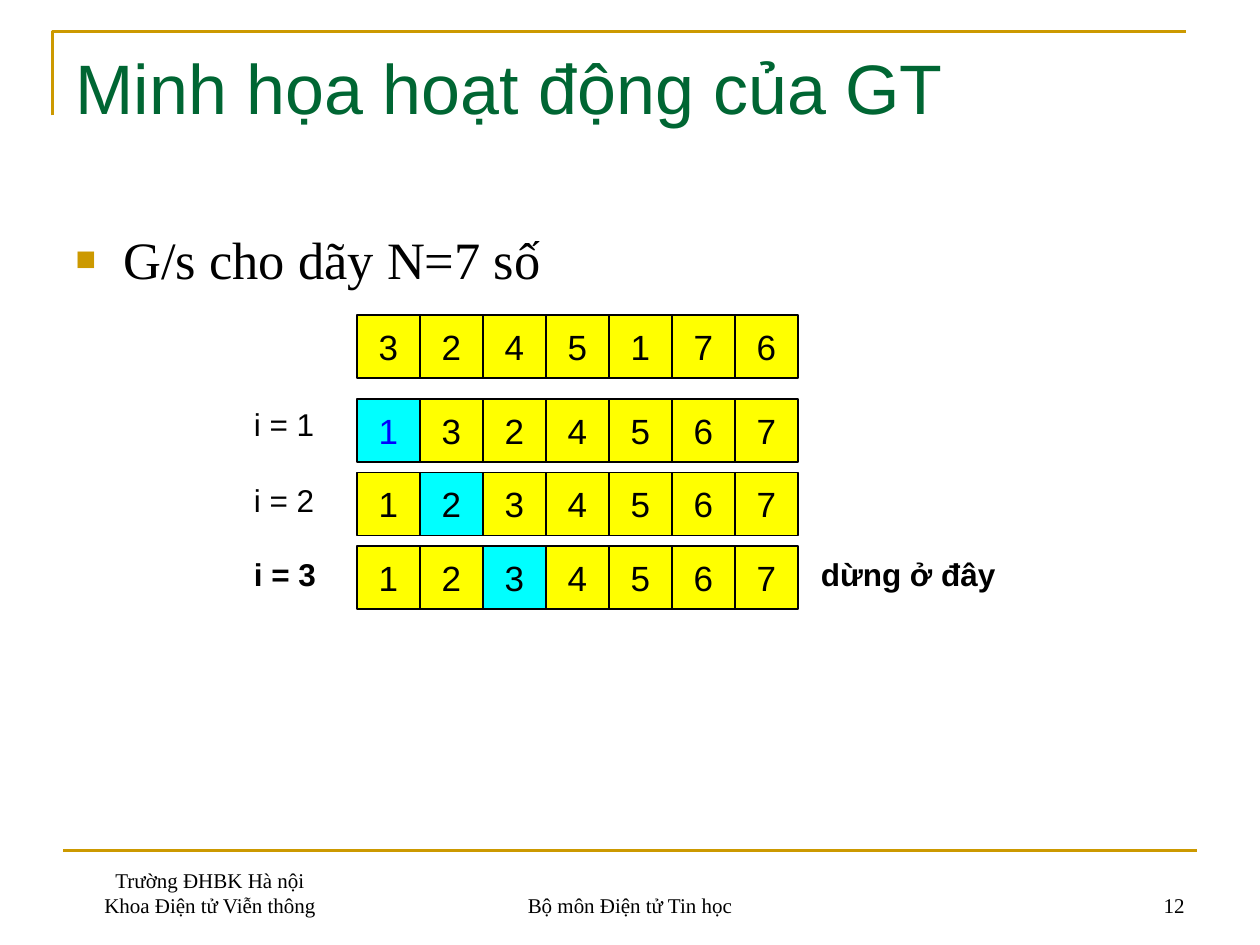
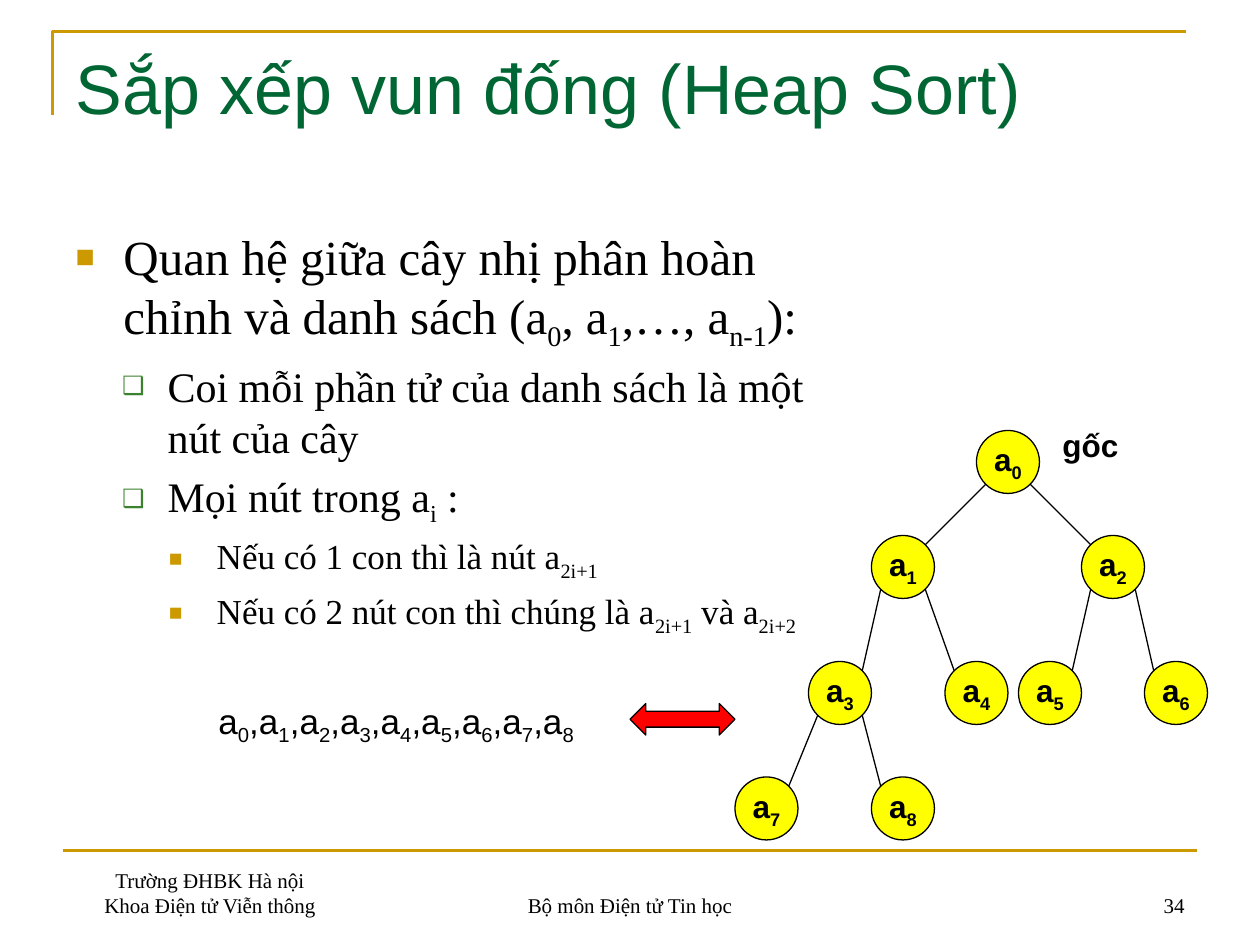
from math import sqrt

from lxml import etree
from pptx import Presentation
from pptx.dml.color import RGBColor
from pptx.enum.shapes import MSO_CONNECTOR, MSO_SHAPE
from pptx.enum.text import MSO_ANCHOR, MSO_AUTO_SIZE, PP_ALIGN
from pptx.oxml.ns import qn
from pptx.util import Inches, Pt

RECTANGLE, OVAL = MSO_SHAPE.RECTANGLE, MSO_SHAPE.OVAL
DOUBLE_ARROW = MSO_SHAPE.LEFT_RIGHT_ARROW
STRAIGHT = MSO_CONNECTOR.STRAIGHT
TOP, MIDDLE, BOTTOM = MSO_ANCHOR.TOP, MSO_ANCHOR.MIDDLE, MSO_ANCHOR.BOTTOM
LEFT, CENTER, RIGHT = PP_ALIGN.LEFT, PP_ALIGN.CENTER, PP_ALIGN.RIGHT
FIXED = MSO_AUTO_SIZE.NONE

SANS, SERIF = "Arial", "Times New Roman"
BLACK, GOLD, GREEN, LEAF = "000000", "CC9900", "006633", "3B812F"
YELLOW, CYAN, BLUE, RED = "FFFF00", "00FFFF", "0000FF", "FF0000"
color = RGBColor.from_string

# The slide is a grid of 120 columns and 90 rows
deck = Presentation()
deck.slide_width, deck.slide_height = Inches(10), Inches(7.5)
UNIT = deck.slide_width // 120


def write(para, text, size, font=SANS, ink=BLACK, bold=False, align=LEFT):
    """Fill a paragraph; every second part between bars is a subscript."""
    para.alignment = align
    para.font.size, para.font.name, para.font.bold = Pt(size), font, bold
    para.font.color.rgb = color(ink)
    for index, part in enumerate(text.split("|")):
        if part:
            span = para.add_run()
            span.text = part
            if index % 2:
                span._r.get_or_add_rPr().set("baseline", "-25000")


def add_box(page, col, row, cols, rows, kind=None, fill=None, anchor=TOP, wrap=True):
    """Add a text box, or a filled preset shape, at a place on the grid."""
    place = [round(UNIT * length) for length in (col, row, cols, rows)]
    if kind is None:
        box = page.shapes.add_textbox(*place)
    else:
        box = page.shapes.add_shape(kind, *place)
        box.shadow.inherit = False
        box.fill.solid()
        box.fill.fore_color.rgb = color(fill)
        box.line.color.rgb = color(BLACK)
        box.line.width = Pt(0.75)
    box.text_frame.word_wrap = wrap
    box.text_frame.vertical_anchor = anchor
    return box


# Bullet levels: symbol, colour, size in percent, left margin, hanging indent
LEVELS = [
    ("■", GOLD, 65, 0.38, -0.38),
    ("❑", LEAF, 60, 0.73, -0.36),
    ("■", GOLD, 65, 1.12, -0.38),
]

# Title, page number, body columns and rows, list items (level, size, text)
PAGES = [
    ("Minh họa hoạt động của GT", "12", 108, 59.4, [
        (0, 30, "G/s cho dãy N=7 số"),
    ]),
    ("Sắp xếp vun đống (Heap Sort)", "34", 74, 46, [
        (0, 28, "Quan hệ giữa cây nhị phân hoàn chỉnh và danh sách "
                "(a|0|, a|1|,…, a|n-1|):"),
        (1, 24, "Coi mỗi phần tử của danh sách là một nút của cây"),
        (1, 24, "Mọi nút trong a|i| :"),
        (2, 20, "Nếu có 1 con thì là nút a|2i+1|"),
        (2, 20, "Nếu có 2 nút con thì chúng là a|2i+1| và a|2i+2|"),
    ]),
]
lines = []  # page, start, end, colour, width

for title, number, body_cols, body_rows, items in PAGES:
    page = deck.slides.add_slide(deck.slide_layouts[1])

    # Corner frame and footer rule
    corner = page.shapes.build_freeform(5 * UNIT, 11 * UNIT, scale=1.0)
    corner.add_line_segments([(5 * UNIT, 3 * UNIT), (113 * UNIT, 3 * UNIT)], close=False)
    frame = corner.convert_to_shape()
    frame.shadow.inherit = False
    frame.fill.background()
    frame.line.color.rgb = color(GOLD)
    frame.line.width = Pt(1.5)
    lines.append((page, (6, 81), (114, 81), GOLD, 1.5))

    # Footers
    for col, cols, align, texts in [
        (6, 28, CENTER, ["Trường ĐHBK Hà nội", "Khoa Điện tử Viễn thông"]),
        (41, 38, CENTER, ["Bộ môn Điện tử Tin học"]),
        (86, 28, RIGHT, [number]),
    ]:
        footer = add_box(page, col, 82, cols, 6, anchor=BOTTOM).text_frame
        for index, text in enumerate(texts):
            para = footer.add_paragraph() if index else footer.paragraphs[0]
            write(para, text, 12, SERIF, align=align)

    # Title and list
    heading, body = page.shapes.title, page.placeholders[1]
    for holder, row, cols, rows in [(heading, 3.6, 108, 15), (body, 21, body_cols, body_rows)]:
        holder.left, holder.top = 6 * UNIT, round(row * UNIT)
        holder.width, holder.height = cols * UNIT, round(rows * UNIT)
        holder.text_frame.auto_size = FIXED
        holder.text_frame.vertical_anchor = TOP
    write(heading.text_frame.paragraphs[0], title, 40, ink=GREEN)
    for index, (level, size, text) in enumerate(items):
        para = body.text_frame.add_paragraph() if index else body.text_frame.paragraphs[0]
        para.level = level
        symbol, tint, percent, margin, indent = LEVELS[level]
        props = para._p.get_or_add_pPr()
        props.set("marL", str(Inches(margin)))
        props.set("indent", str(Inches(indent)))
        bullet_color = etree.SubElement(props, qn("a:buClr"))
        etree.SubElement(bullet_color, qn("a:srgbClr"), val=tint)
        etree.SubElement(props, qn("a:buSzPct"), val=str(percent * 1000))
        etree.SubElement(props, qn("a:buFont"), typeface=SANS)
        etree.SubElement(props, qn("a:buChar"), char=symbol)
        write(para, text, size, SERIF)

sort_page, heap_page = deck.slides

# Number rows: row, digits, highlighted position, its text colour
for row, digits, marked, ink in [
    (30, "3245176", None, BLACK),
    (38, "1324567", 0, BLUE),
    (45, "1234567", 1, BLACK),
    (52, "1234567", 2, BLACK),
]:
    for index, digit in enumerate(digits):
        hit = index == marked
        cell = add_box(sort_page, 34 + 6 * index, row, 6, 6, RECTANGLE,
                       CYAN if hit else YELLOW, MIDDLE, wrap=False)
        write(cell.text_frame.paragraphs[0], digit, 20, ink=ink if hit else BLACK, align=CENTER)

# Labels beside the number rows and the root of the heap
for page, col, row, cols, text, bold in [
    (sort_page, 23, 38, 10, "i = 1", False),
    (sort_page, 23, 45.25, 10, "i = 2", False),
    (sort_page, 23, 52.25, 10, "i = 3", True),
    (sort_page, 77, 52.25, 23, "dừng ở đây", True),
    (heap_page, 100, 40, 13, "gốc", True),
]:
    label = add_box(page, col, row, cols, 4.8)
    write(label.text_frame.paragraphs[0], text, 18, bold=bold)

# Heap nodes, each joined to its parent
NODES = [(93, 41), (83, 51), (103, 51), (77, 63), (90, 63), (97, 63), (109, 63),
         (70, 74), (83, 74)]
RIM = 3 * sqrt(0.5)  # from a node's centre to its diagonal points
for index, (col, row) in enumerate(NODES):
    node = add_box(heap_page, col, row, 6, 6, OVAL, YELLOW, MIDDLE)
    node.text_frame.margin_left = node.text_frame.margin_right = 0
    write(node.text_frame.paragraphs[0], f"a|{index}|", 18, bold=True, align=CENTER)
    if index:
        parent_col, parent_row = NODES[(index - 1) // 2]
        side = -RIM if index % 2 else RIM
        start = (parent_col + 3 + side, parent_row + 3 + RIM)
        end = (col + 3 - side, row + 3 - RIM)
        lines.append((heap_page, start, end, BLACK, 0.75))

# Array form of the heap
array = add_box(heap_page, 17, 66, 42, 5.3)
names = ",".join(f"a|{index}|" for index in range(len(NODES) - 1))
write(array.text_frame.paragraphs[0], names + ",a|8 |", 20, align=CENTER)
add_box(heap_page, 60, 67, 10, 3, DOUBLE_ARROW, RED)

# All straight lines
for page, start, end, tint, width in lines:
    ends = [round(UNIT * length) for length in start + end]
    line = page.shapes.add_connector(STRAIGHT, *ends)
    line.line.color.rgb = color(tint)
    line.line.width = Pt(width)
    etree.SubElement(line._element.spPr, qn("a:effectLst"))

deck.save("out.pptx")
